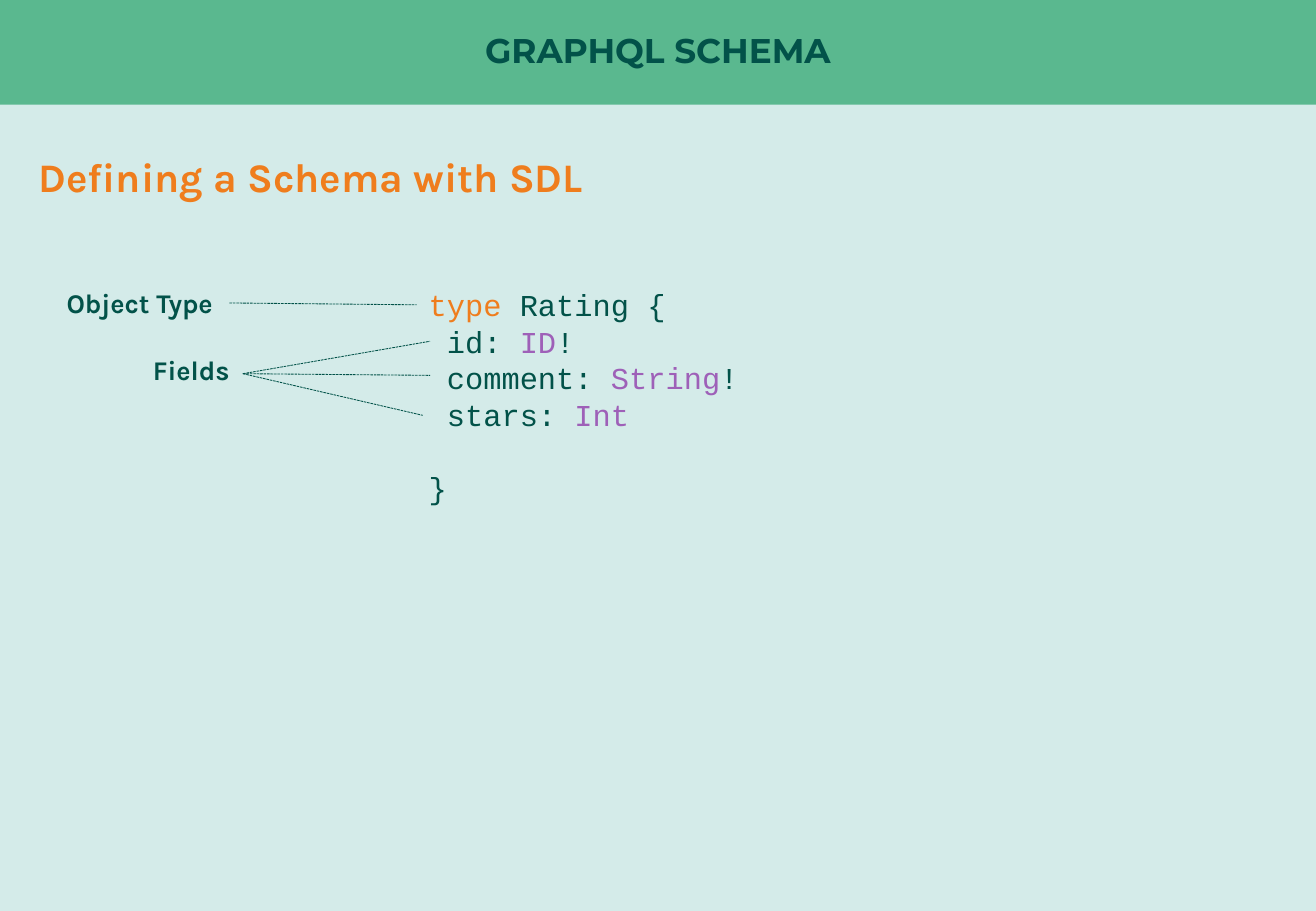
from lxml import etree
from pptx import Presentation
from pptx.dml.color import RGBColor
from pptx.enum.dml import MSO_LINE
from pptx.enum.shapes import MSO_CONNECTOR, MSO_SHAPE
from pptx.enum.text import MSO_ANCHOR, PP_ALIGN
from pptx.oxml.ns import qn
from pptx.util import Pt

RECTANGLE = MSO_SHAPE.RECTANGLE
STRAIGHT = MSO_CONNECTOR.STRAIGHT
SYS_DASH = MSO_LINE.SQUARE_DOT
MIDDLE = MSO_ANCHOR.MIDDLE
LEFT, CENTER = PP_ALIGN.LEFT, PP_ALIGN.CENTER
RIGHT_SIDE = 3

PALE = RGBColor(0xD4, 0xEB, 0xE9)
GREEN = RGBColor(0x5A, 0xB8, 0x8F)
DARK = RGBColor(0x02, 0x52, 0x49)
ORANGE = RGBColor(0xEF, 0x7D, 0x1D)
PURPLE = RGBColor(0x9E, 0x60, 0xB8)

SLIDE_W, SLIDE_H = 780, 540
HEADER_H = 62
CODE_LINE = 21.6

TITLE = "GRAPHQL SCHEMA"
HEADING = "Defining a Schema with SDL"
CODE = [
    [("type", ORANGE), (" Rating {", DARK)],
    [(" id: ", DARK), ("ID", PURPLE), ("!", DARK)],
    [(" comment: ", DARK), ("String", PURPLE), ("!", DARK)],
    [(" stars: ", DARK), ("Int", PURPLE)],
    [("}", DARK)],
]
OBJECT_TYPE = ("Object Type", 32.4, 166.3)
FIELDS = ("Fields", 83.5, 205.9)
LABEL_W, LABEL_H = 103.6, 26.6
OBJECT_TYPE_TARGET = (247, 180.7)
FIELDS_ORIGIN = (144, 221.5)
FIELD_TARGETS = [(254.9, 202.3), (254.9, 222.5), (250.6, 246.2)]


def add_line(paragraph, runs, font_name, size, bold=False):
    """Fill a paragraph with (text, colour) runs in one font."""
    for text, colour in runs:
        run = paragraph.add_run()
        run.text = text
        run.font.name = font_name
        run.font.size = Pt(size)
        run.font.bold = bold
        run.font.color.rgb = colour


def add_text_box(left, top, width, height):
    box = slide.shapes.add_textbox(Pt(left), Pt(top), Pt(width), Pt(height))
    box.text_frame.word_wrap = True
    return box


def add_label(text, left, top):
    label = add_text_box(left, top, LABEL_W, LABEL_H)
    add_line(label.text_frame.paragraphs[0], [(text, DARK)], "Karla", 16, True)
    return label


def add_pointer(start, end):
    """Draw a thin dashed line from a label to the code."""
    pointer = slide.shapes.add_connector(STRAIGHT, *map(Pt, start + end))
    pointer.line.color.rgb = DARK
    pointer.line.width = Pt(0.5)
    pointer.line.dash_style = SYS_DASH
    etree.SubElement(pointer._element.spPr, qn("a:effectLst"))
    return pointer


prs = Presentation()
prs.slide_width, prs.slide_height = Pt(SLIDE_W), Pt(SLIDE_H)
slide = prs.slides.add_slide(prs.slide_layouts[6])
slide.background.fill.solid()
slide.background.fill.fore_color.rgb = PALE

header = slide.shapes.add_shape(RECTANGLE, 0, 0, Pt(SLIDE_W), Pt(HEADER_H))
header.shadow.inherit = False
header.fill.solid()
header.fill.fore_color.rgb = GREEN
header.line.fill.background()
header_text = header.text_frame
header_text.vertical_anchor = MIDDLE
header_text.margin_left = header_text.margin_right = 0
header_text.margin_top = header_text.margin_bottom = 0
title = header_text.paragraphs[0]
title.alignment = CENTER
title.line_spacing = 0.9
add_line(title, [(TITLE, DARK)], "Montserrat", 20.3, True)

heading = add_text_box(15.8, 80.6, 748, 41).text_frame.paragraphs[0]
heading.line_spacing = 1.2
add_line(heading, [(HEADING, ORANGE)], "Karla", 24, True)

code = add_text_box(247, 166.3, 321.8, 203.8).text_frame
for index, runs in enumerate(CODE):
    line = code.add_paragraph() if index else code.paragraphs[0]
    line.alignment = LEFT
    line.line_spacing = Pt(CODE_LINE)
    add_line(line, runs, "Courier New", 18)
code.paragraphs[-1].space_before = Pt(CODE_LINE)

object_type = add_label(*OBJECT_TYPE)
add_label(*FIELDS)

object_type_end = (OBJECT_TYPE[1] + LABEL_W, OBJECT_TYPE[2] + LABEL_H / 2)
object_pointer = add_pointer(object_type_end, OBJECT_TYPE_TARGET)
object_pointer.begin_connect(object_type, RIGHT_SIDE)
for target in FIELD_TARGETS:
    add_pointer(FIELDS_ORIGIN, target)

prs.save("out.pptx")
